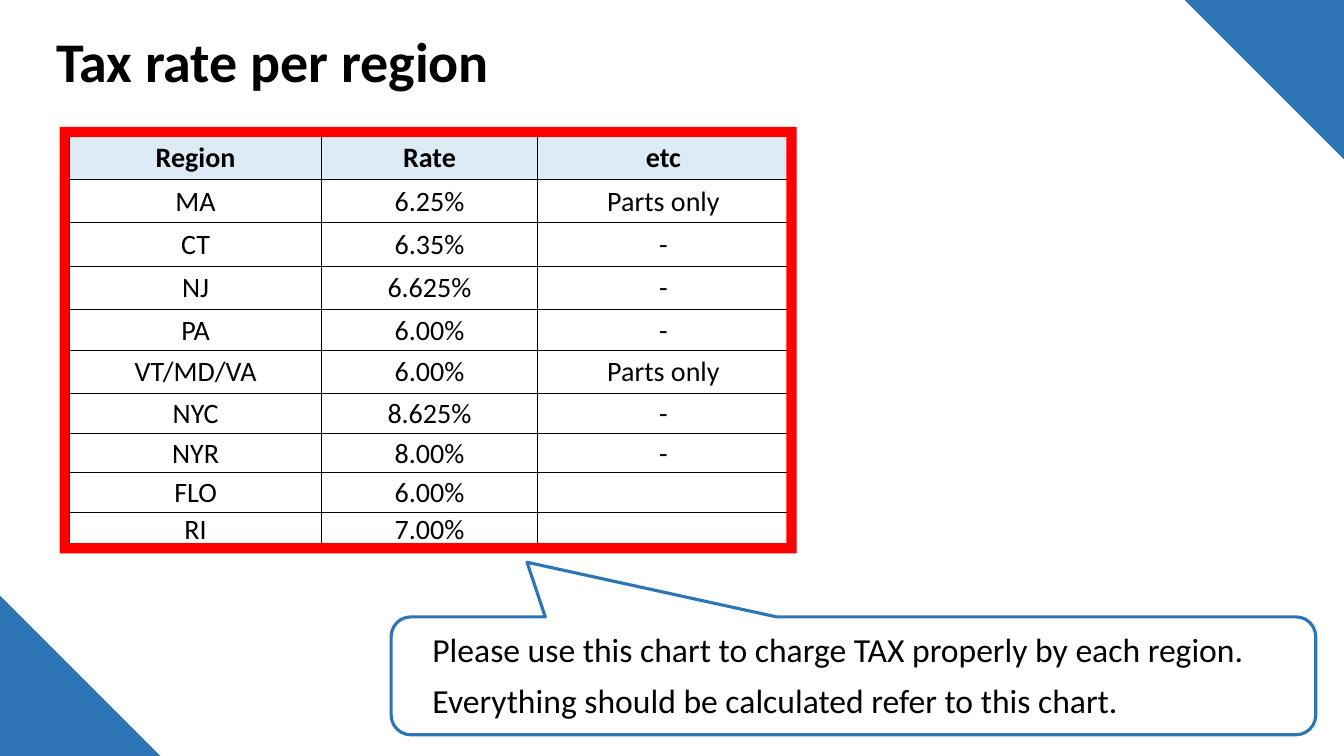
from lxml import etree
from pptx import Presentation
from pptx.dml.color import RGBColor
from pptx.enum import shapes, text
from pptx.oxml import ns
from pptx.util import Inches, Pt

BLACK = RGBColor(0x00, 0x00, 0x00)
WHITE = RGBColor(0xFF, 0xFF, 0xFF)
BLUE = RGBColor(0x2E, 0x75, 0xB6)
PALE_BLUE = RGBColor(0xDD, 0xEB, 0xF7)
RED = RGBColor(0xFF, 0x00, 0x00)

TAX_RATES = [
    ("Region", "Rate", "etc"),
    ("MA", "6.25%", "Parts only"),
    ("CT", "6.35%", "-"),
    ("NJ", "6.625%", "-"),
    ("PA", "6.00%", "-"),
    ("VT/MD/VA", "6.00%", "Parts only"),
    ("NYC", "8.625%", "-"),
    ("NYR", "8.00%", "-"),
    ("FLO", "6.00%", ""),
    ("RI", "7.00%", ""),
]
COLUMN_WIDTHS = [2.5, 2.14, 2.5]
ROW_HEIGHTS = [0.43, 0.43, 0.43, 0.43, 0.41, 0.42, 0.4, 0.39, 0.39, 0.14]
ADVICE = [
    "Please use this chart to charge TAX properly by each region.",
    "Everything should be calculated refer to this chart.",
]


def add_run(paragraph, content, size, bold=False):
    run = paragraph.add_run()
    run.text = content
    run.font.name = "Calibri"
    run.font.size = Pt(size)
    run.font.bold = bold
    run.font.color.rgb = BLACK


def add_text(slide, box, lines, size, bold=False, space_before=0,
             anchor=text.MSO_ANCHOR.TOP):
    frame = slide.shapes.add_textbox(*map(Inches, box)).text_frame
    frame.word_wrap = True
    frame.vertical_anchor = anchor
    for index, line in enumerate(lines):
        paragraph = frame.add_paragraph() if index else frame.paragraphs[0]
        paragraph.line_spacing = 0.9
        paragraph.space_before = Pt(space_before)
        add_run(paragraph, line, size, bold)


def add_shape(slide, kind, box, fill=None, line=None, adjustments=()):
    shape = slide.shapes.add_shape(kind, *map(Inches, box))
    shape.shadow.inherit = False
    for index, value in enumerate(adjustments):
        shape.adjustments[index] = value
    if fill is None:
        shape.fill.background()
    else:
        shape.fill.solid()
        shape.fill.fore_color.rgb = fill
    if line is None:
        shape.line.fill.background()
    else:
        shape.line.color.rgb = line
        shape.line.width = Pt(2.25)
    return shape


def add_borders(cell):
    properties = cell._tc.get_or_add_tcPr()
    for position, side in enumerate(("lnL", "lnR", "lnT", "lnB")):
        border = etree.Element(ns.qn(f"a:{side}"), w=str(Pt(0.5)))
        fill = etree.SubElement(border, ns.qn("a:solidFill"))
        etree.SubElement(fill, ns.qn("a:srgbClr"), val=str(BLACK))
        properties.insert(position, border)


def fill_cell(cell, content, header):
    cell.fill.solid()
    cell.fill.fore_color.rgb = PALE_BLUE if header else WHITE
    cell.margin_left = cell.margin_right = cell.margin_top = Inches(0.01)
    cell.margin_bottom = 0
    cell.vertical_anchor = text.MSO_ANCHOR.MIDDLE
    paragraph = cell.text_frame.paragraphs[0]
    paragraph.alignment = text.PP_ALIGN.CENTER
    if content:
        add_run(paragraph, content, 20, header)
    add_borders(cell)


def add_rate_table(slide, left, top):
    table = slide.shapes.add_table(
        len(TAX_RATES), len(COLUMN_WIDTHS), Inches(left), Inches(top),
        Inches(sum(COLUMN_WIDTHS)), Inches(sum(ROW_HEIGHTS))).table
    for column, width in zip(table.columns, COLUMN_WIDTHS):
        column.width = Inches(width)
    for row, height in zip(table.rows, ROW_HEIGHTS):
        row.height = Inches(height)
    for row_index, values in enumerate(TAX_RATES):
        for column_index, value in enumerate(values):
            fill_cell(table.cell(row_index, column_index), value, row_index == 0)


def main():
    presentation = Presentation()
    presentation.slide_width = Inches(13.33)
    presentation.slide_height = Inches(7.5)
    slide = presentation.slides.add_slide(presentation.slide_layouts[6])
    kinds = shapes.MSO_SHAPE

    add_text(slide, (0.46, 0.26, 10.44, 0.76), ["Tax rate per region"], 40,
             bold=True, anchor=text.MSO_ANCHOR.MIDDLE)
    top_corner = add_shape(slide, kinds.RIGHT_TRIANGLE, (11.75, 0, 1.59, 1.59), BLUE)
    top_corner.rotation = 180
    add_shape(slide, kinds.RIGHT_TRIANGLE, (0, 5.91, 1.59, 1.59), BLUE)
    add_text(slide, (4.19, 6.24, 8.55, 1.04), ADVICE, 24, space_before=10)
    add_shape(slide, kinds.ROUNDED_RECTANGULAR_CALLOUT, (3.88, 6.12, 9.17, 1.17),
              line=BLUE, adjustments=(-0.353, -0.963, 0.167))
    add_rate_table(slide, 0.69, 1.35)
    add_shape(slide, kinds.FRAME, (0.59, 1.26, 7.31, 4.23), RED, adjustments=(0.024,))
    presentation.save("out.pptx")


if __name__ == "__main__":
    main()
